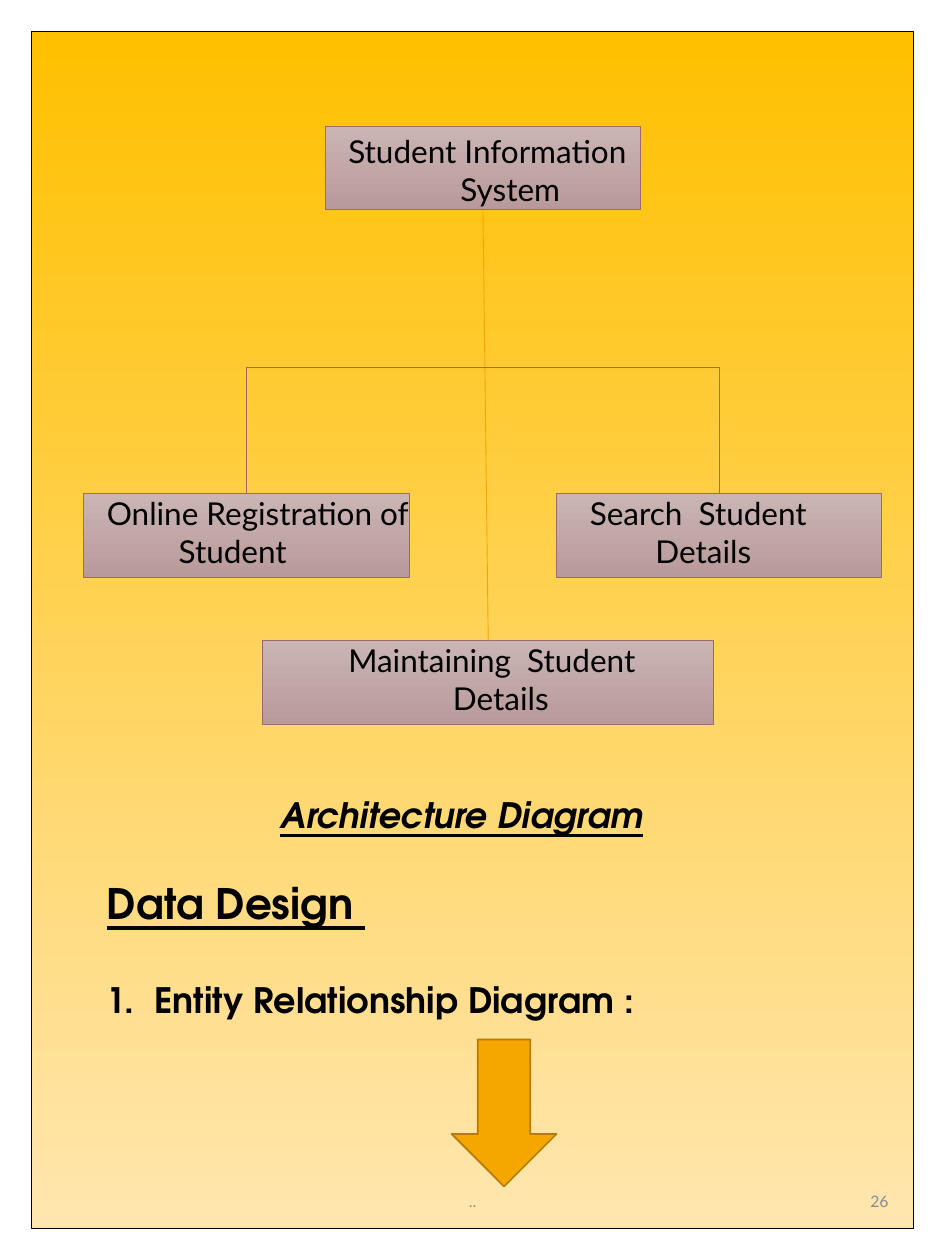
from pptx import Presentation
from pptx.dml.color import RGBColor
from pptx.enum.shapes import MSO_CONNECTOR, MSO_SHAPE
from pptx.enum.text import MSO_ANCHOR, MSO_AUTO_SIZE, PP_ALIGN
from pptx.oxml.ns import qn
from pptx.util import Inches, Pt
from lxml.etree import SubElement

BODY_FONT, HEADING_FONT = "Lato", "TeX Gyre Adventor"
BLACK, GREY, AMBER, MAUVE = "000000", "8C8C8C", "F5A700", "9C6A6A"


def grid(units):
    """The slide is a grid of 90 columns by 120 rows, twelve to the inch."""
    return Inches(units / 12)


def color(value):
    return RGBColor.from_string(value)


def add_block(slide, kind, box, fills, line, width):
    shape = slide.shapes.add_shape(kind, *map(grid, box))
    shape.shadow.inherit = False
    if len(fills) == 1:
        shape.fill.solid()
        shape.fill.fore_color.rgb = color(fills[0])
    else:
        shape.fill.gradient()
        shape.fill.gradient_angle = 270
        for stop, value in zip(shape.fill.gradient_stops, fills):
            stop.color.rgb = color(value)
    shape.line.color.rgb = color(line)
    shape.line.width = Pt(width)
    return shape


def add_line(slide, start, end, line):
    connector = slide.shapes.add_connector(
        MSO_CONNECTOR.STRAIGHT, *map(grid, start + end))
    connector.line.color.rgb = color(line)
    connector.line.width = Pt(0.5)
    SubElement(connector.element.spPr, qn("a:effectLst"))
    return connector


def add_text_box(slide, box, anchor=MSO_ANCHOR.TOP):
    frame = slide.shapes.add_textbox(*map(grid, box)).text_frame
    frame.word_wrap = True
    frame.vertical_anchor = anchor
    return frame


def write(paragraph, text, size, font=BODY_FONT, ink=BLACK,
          bold=False, italic=False, underline=False):
    run = paragraph.add_run()
    run.text = text
    run.font.name, run.font.size = font, Pt(size)
    run.font.color.rgb = color(ink)
    run.font.bold, run.font.italic, run.font.underline = bold, italic, underline


def indent(paragraph, left, first=0):
    properties = paragraph._p.get_or_add_pPr()
    properties.set("marL", str(Inches(left)))
    properties.set("indent", str(Inches(first)))
    return properties


def add_module(slide, box, label_corner, lines, second_indent):
    """A box of the chart with its two-line label."""
    shape = add_block(slide, MSO_SHAPE.RECTANGLE, box,
                      ("CAB4B4", "B99A9A"), MAUVE, 0.5)
    frame = add_text_box(slide, label_corner + (37, 8.5))
    write(frame.paragraphs[0], lines[0], 18)
    second = frame.add_paragraph()
    indent(second, second_indent)
    write(second, lines[1], 18)
    return shape


def add_architecture(slide, left, top):
    """Root module, three child modules and the lines between them."""
    def module(column, row, width, label_column, label_row, lines, second_indent):
        return add_module(slide, (left + column, top + row, width, 8),
                          (left + label_column, top + label_row),
                          lines, second_indent)

    root = module(23, 0, 30, 24, 0, ("Student Information", "System"), 0.89)
    search = module(45, 35, 31, 47, 34.5, ("Search  Student", "Details"), 0.52)
    upkeep = module(17, 49, 43, 24, 48.5, ("Maintaining  Student", "Details"), 0.83)
    register = module(0, 35, 31, 1, 34.5,
                      ("Online Registration of", "Student"), 0.57)

    trunk = add_line(slide, (0, 0), (0, 0), AMBER)
    trunk.begin_connect(root, 2)
    trunk.end_connect(upkeep, 0)

    # Crossbar with a drop to each side module
    bar_row = top + 23
    ends = (left + 15.5, left + 60.5)
    add_line(slide, (ends[0], bar_row), (ends[1], bar_row), MAUVE)
    for column, child in zip(ends, (register, search)):
        drop = add_line(slide, (column, bar_row), (column, top + 35), MAUVE)
        drop.end_connect(child, 0)


def add_caption(slide, page, box):
    title = slide.shapes.title
    page.element.addnext(title.element)
    title.left, title.top, title.width, title.height = map(grid, box)
    frame = title.text_frame
    frame.word_wrap = True
    frame.auto_size = MSO_AUTO_SIZE.NONE
    frame.vertical_anchor = MSO_ANCHOR.TOP
    paragraph = frame.paragraphs[0]
    paragraph.alignment = PP_ALIGN.CENTER
    write(paragraph, "Architecture Diagram", 20, HEADING_FONT,
          bold=True, italic=True, underline=True)


def add_data_design(slide, box):
    frame = add_text_box(slide, box)
    write(frame.paragraphs[0], "Data Design ", 24, HEADING_FONT,
          bold=True, underline=True)
    item = frame.add_paragraph()
    item.space_before = Pt(29)
    properties = indent(item, 0.38, -0.38)
    SubElement(properties, qn("a:buFont"), typeface=HEADING_FONT)
    SubElement(properties, qn("a:buAutoNum"), type="arabicPeriod")
    write(item, "Entity Relationship Diagram :", 20, HEADING_FONT, bold=True)


def add_footer(slide, top, height):
    for left, width, text, alignment in (
            (29.8, 30.4, "..", PP_ALIGN.CENTER),
            (65.5, 20.3, "26", PP_ALIGN.RIGHT)):
        frame = add_text_box(slide, (left, top, width, height), MSO_ANCHOR.MIDDLE)
        frame.paragraphs[0].alignment = alignment
        write(frame.paragraphs[0], text, 9, ink=GREY)


def main():
    presentation = Presentation()
    presentation.slide_width, presentation.slide_height = grid(90), grid(120)
    slide = presentation.slides.add_slide(presentation.slide_layouts[5])
    page = add_block(slide, MSO_SHAPE.RECTANGLE, (3, 3, 84, 114),
                     ("FFC000", "FFE6AF"), BLACK, 1)
    add_footer(slide, 111.2, 6.4)
    add_data_design(slide, (9, 83, 68, 15))
    add_block(slide, MSO_SHAPE.DOWN_ARROW, (43, 99, 10, 14),
              (AMBER,), "B57C00", 1)
    add_architecture(slide, 8, 12)
    add_caption(slide, page, (19, 75, 50, 5.3))
    presentation.save("out.pptx")


if __name__ == "__main__":
    main()
